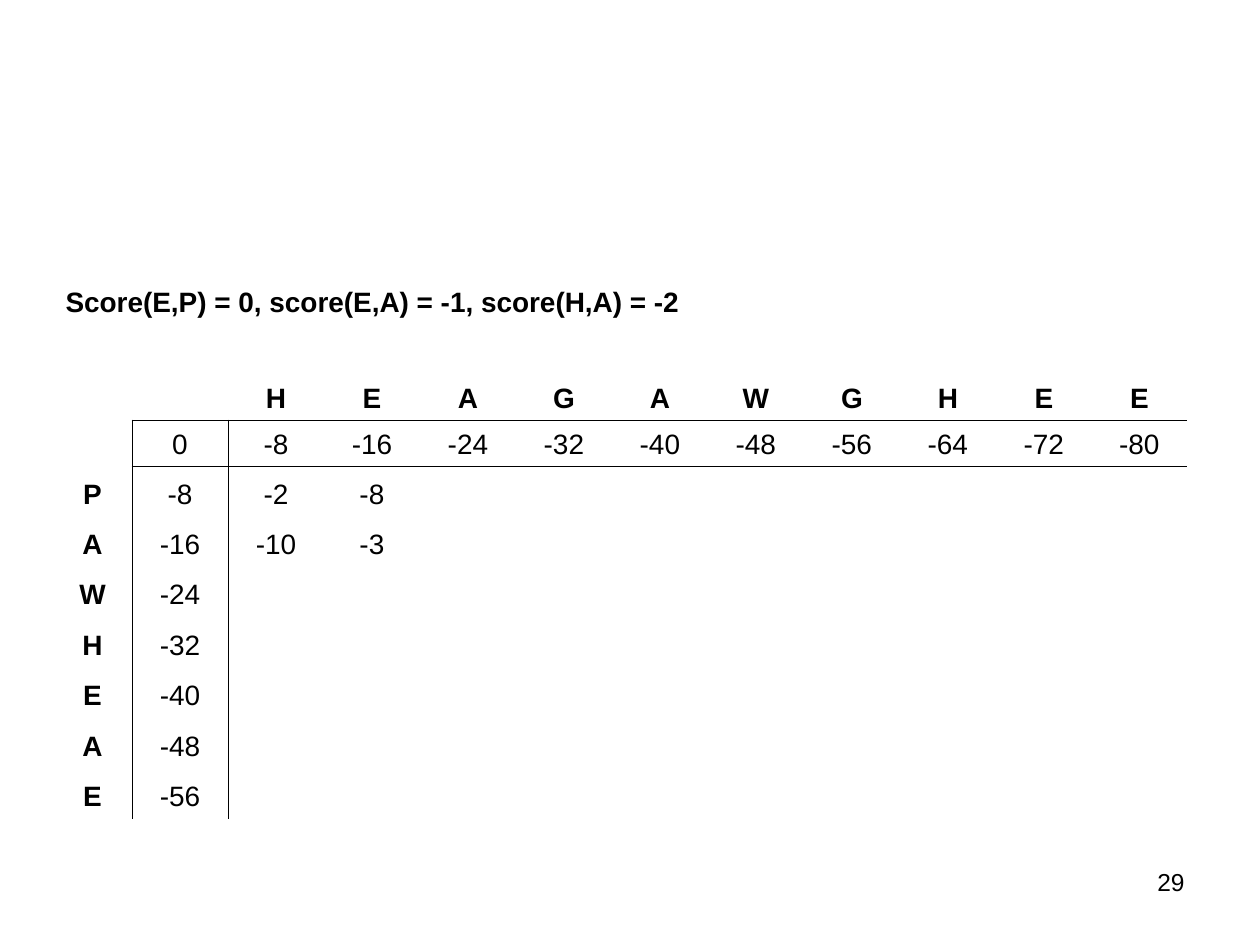
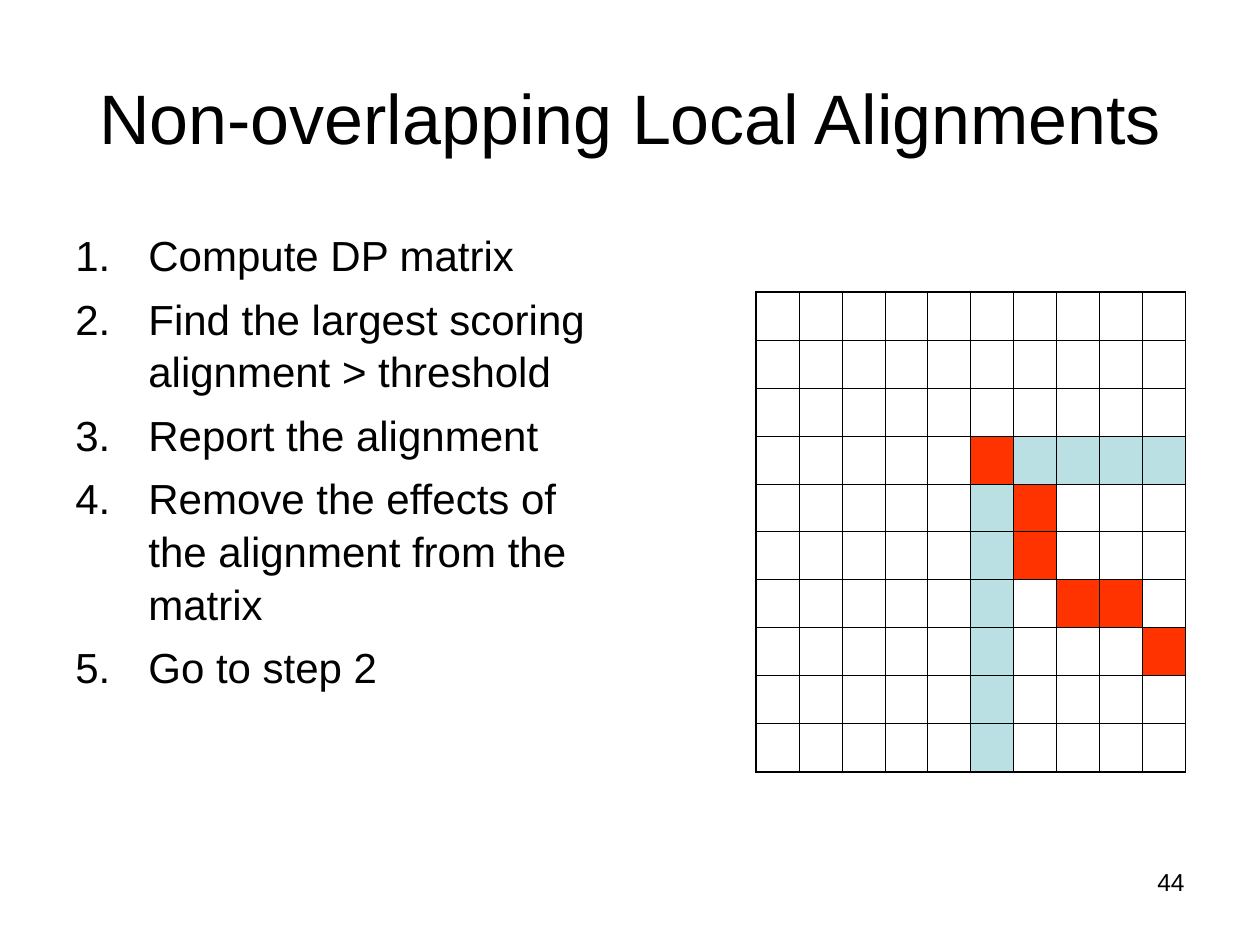
import dataclasses

import pptx
import pptx.dml.color
import pptx.enum.text
import pptx.oxml
import pptx.oxml.ns
import pptx.util

PX = 914400 // 126
ALIGN = pptx.enum.text.PP_ALIGN
ANCHOR = pptx.enum.text.MSO_ANCHOR
qn = pptx.oxml.ns.qn


@dataclasses.dataclass(frozen=True)
class Theme:
    font: str = "Arial"
    ink: str = "000000"
    path_fill: str = "FF3300"
    redo_fill: str = "BBE0E3"
    title: int = 40
    body: int = 24
    cell: int = 16
    page: int = 14
    thin: float = 0.45
    thick: float = 1.08
    plain: str = "{2D5ABB26-0587-4C30-8999-92F81FD0307C}"


theme = Theme()


def style(par, size, align=ALIGN.LEFT, bold=False):
    par.alignment = align
    for run in par.runs:
        run.font.name = theme.font
        run.font.size = pptx.util.Pt(size)
        run.font.bold = bold
        run.font.color.rgb = pptx.dml.color.RGBColor.from_string(theme.ink)


def edge(cell, **sides):
    """Draw cell borders; sides are L, R, T, B in that order, widths in points."""
    for side, width in sides.items():
        line = pptx.oxml.parse_xml(
            f'<a:ln{side} xmlns:a="http://schemas.openxmlformats.org/drawingml/2006/main"'
            f' w="{round(width * 12700)}"><a:solidFill><a:srgbClr val="{theme.ink}"/>'
            f'</a:solidFill></a:ln{side}>')
        cell._tc.get_or_add_tcPr().append(line)


deck = pptx.Presentation()
deck.slide_width = 1260 * PX
deck.slide_height = 945 * PX
score = deck.slides.add_slide(deck.slide_layouts[6])
local = deck.slides.add_slide(deck.slide_layouts[5])

# Page numbers
for slide, page in ((score, "29"), (local, "44")):
    box = slide.shapes.add_textbox(903 * PX, 861 * PX, 294 * PX, 66 * PX)
    box.text_frame.word_wrap = True
    box.text_frame.text = page
    style(box.text_frame.paragraphs[0], theme.page, ALIGN.RIGHT)

# Both tables, bare
tables = []
for slide, left, top, widths, heights in (
    (score, 53, 252, [79] + [96] * 10 + [95], [72, 48, 48, 46] + [50, 51] * 3 + [50]),
    (local, 756, 292, [43] * 10, [48] * 10),
):
    table = slide.shapes.add_table(
        len(heights), len(widths), left * PX, top * PX,
        sum(widths) * PX, sum(heights) * PX).table
    table.first_row = table.horz_banding = False
    table._tbl.tblPr.find(qn("a:tableStyleId")).text = theme.plain
    for col, width in zip(table.columns, widths):
        col.width = width * PX
    for row, height in zip(table.rows, heights):
        row.height = height * PX
    for cell in table.iter_cells():
        cell.margin_top = cell.margin_bottom = 0
    tables.append(table)
matrix, grid = tables

# Score matrix
across, down = "HEAGAWGHEE", "PAWHEAE"
text = {(2, c): letter for c, letter in enumerate(across, 2)}
text |= {(r, 0): letter for r, letter in enumerate(down, 4)}
text |= {(3, c): str(-8 * (c - 1)) for c in range(1, 12)}
text |= {(r, 1): str(-8 * (r - 3)) for r in range(4, 11)}
text |= {(4, 2): "-2", (4, 3): "-8", (5, 2): "-10", (5, 3): "-3"}
text[0, 0] = "Score(E,P) = 0, score(E,A) = -1, score(H,A) = -2"
matrix.cell(0, 0).merge(matrix.cell(0, 10))

for (r, c), value in text.items():
    cell = matrix.cell(r, c)
    cell.text_frame.text = value
    cell.vertical_anchor = ANCHOR.BOTTOM
    cell.margin_bottom = 6 * PX
    style(cell.text_frame.paragraphs[0], theme.cell,
          ALIGN.CENTER if r else ALIGN.LEFT, bold=r < 3 or c == 0)
for r in range(3, 11):
    edge(matrix.cell(r, 0), R=theme.thin)
    edge(matrix.cell(r, 1), L=theme.thin)
for c in range(1, 12):
    edge(matrix.cell(2, c), B=theme.thin)
    edge(matrix.cell(3, c), T=theme.thin)

# Title and steps
title = local.shapes.title
title.left, title.top, title.width, title.height = 63 * PX, 38 * PX, 1134 * PX, 158 * PX
title.text_frame.text = "Non-overlapping Local Alignments"
title.text_frame.vertical_anchor = ANCHOR.MIDDLE
style(title.text_frame.paragraphs[0], theme.title, ALIGN.CENTER)

steps = local.shapes.add_textbox(63 * PX, 221 * PX, 557 * PX, 624 * PX).text_frame
steps.word_wrap = True
steps.text = "\n".join((
    "Compute DP matrix",
    "Find the largest scoring alignment > threshold",
    "Report the alignment",
    "Remove the effects of the alignment from the matrix",
    "Go to step 2",
))
for i, par in enumerate(steps.paragraphs):
    style(par, theme.body)
    par.line_spacing = 1.05
    par.space_before = pptx.util.Pt(6 if i else 0)
    props = par._p.get_or_add_pPr()
    props.set("marL", str(73 * PX))
    props.set("indent", str(-73 * PX))
    props.append(pptx.oxml.parse_xml(
        '<a:buAutoNum xmlns:a="http://schemas.openxmlformats.org/drawingml/2006/main"'
        ' type="arabicPeriod"/>'))

# Alignment grid: the reported path and the cells to recompute
path_cells = {(3, 5), (4, 6), (5, 6), (6, 7), (6, 8), (7, 9)}
redo_cells = {(3, c) for c in range(6, 10)} | {(r, 5) for r in range(4, 10)}
for r in range(10):
    for c in range(10):
        cell = grid.cell(r, c)
        edge(cell,
             L=theme.thin if c else theme.thick,
             R=theme.thin if c < 9 else theme.thick,
             T=theme.thin if r else theme.thick,
             B=theme.thin if r < 9 else theme.thick)
        if (r, c) in path_cells | redo_cells:
            tint = theme.path_fill if (r, c) in path_cells else theme.redo_fill
            cell.fill.solid()
            cell.fill.fore_color.rgb = pptx.dml.color.RGBColor.from_string(tint)
        else:
            cell.fill.background()

deck.save("out.pptx")
